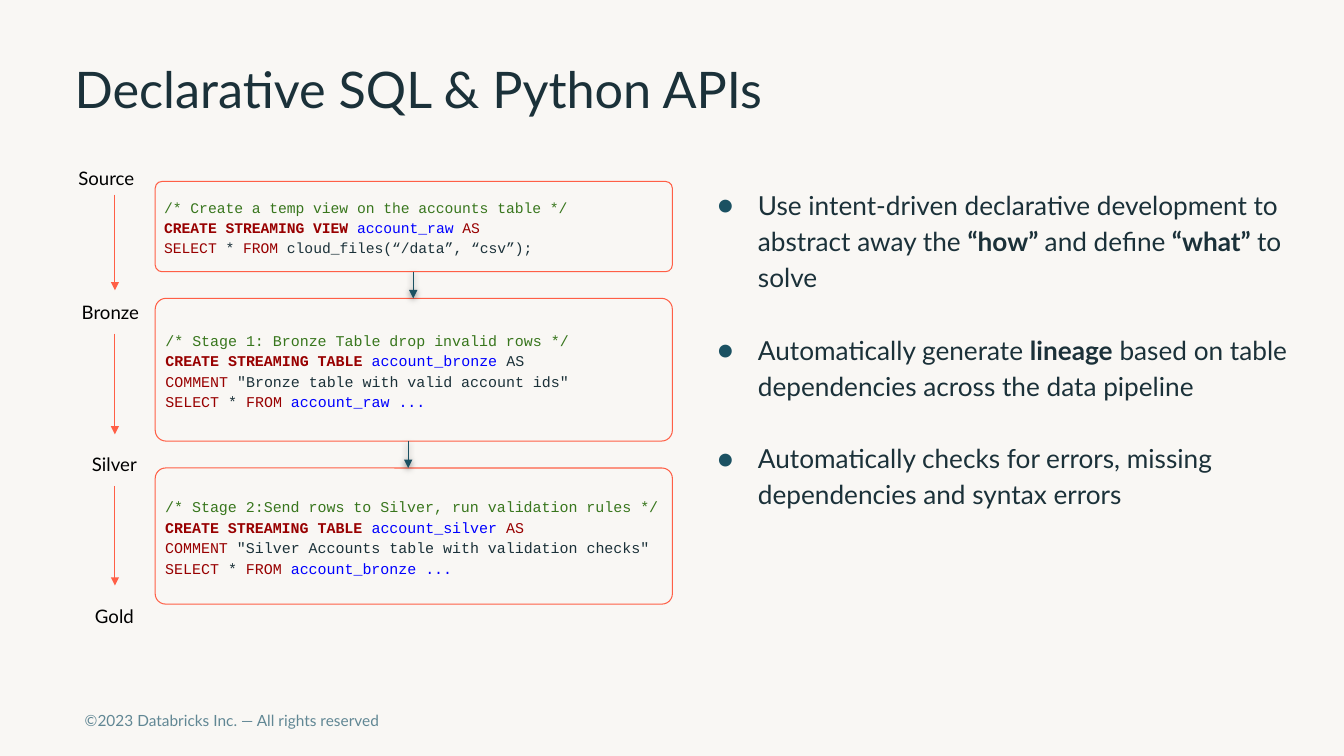
from lxml import etree
from pptx import Presentation
from pptx.dml.color import RGBColor as Rgb
from pptx.enum.shapes import MSO_CONNECTOR as Connector, MSO_SHAPE as Shape
from pptx.enum.text import MSO_ANCHOR as Anchor, PP_ALIGN as Align
from pptx.oxml.ns import qn
from pptx.util import Pt

COLORS = {
    "paper": "F9F7F4", "ink": "1B3139", "teal": "1B5162", "coral": "FF5F46",
    "muted": "618794", "label": "000000", "shadow": "000000",
    "comment": "38761D", "keyword": "980000", "name": "0000FF",
}

# Content
TITLE = "Declarative SQL & Python APIs"
FOOTER = "©2023 Databricks Inc. — All rights reserved"
BULLETS = [  # runs of (text, bold)
    [("Use intent-driven declarative development to abstract away the ", False),
     ("“how” ", True), ("and define", False), (" “what” ", True), ("to solve", False)],
    [("Automatically generate ", False), ("lineage", True),
     (" based on table dependencies across the data pipeline", False)],
    [("Automatically checks for errors, missing dependencies and syntax errors", False)],
]
CODE_BOXES = [  # top, height, text size, lines of (text, color, bold)
    (129.6, 64.5, 10.5, [
        [("/* Create a temp view on the accounts table */", "comment", False)],
        [("CREATE STREAMING VIEW ", "keyword", True), ("account_raw ", "name", False),
         ("AS", "keyword", False)],
        [("SELECT", "keyword", False), (" * ", "ink", False), ("FROM", "keyword", False),
         (" cloud_files(“/data”, “csv”);", "ink", False)],
    ]),
    (213.1, 102, 10.7, [
        [("/* Stage 1: Bronze Table drop invalid rows */", "comment", False)],
        [("CREATE STREAMING TABLE ", "keyword", True), ("account_bronze", "name", False),
         (" AS", "ink", False)],
        [("COMMENT", "keyword", False),
         (' "Bronze table with valid account ids"', "ink", False)],
        [("SELECT", "keyword", False), (" * ", "ink", False), ("FROM ", "keyword", False),
         ("account_raw ...", "name", False)],
    ]),
    (334.3, 97.2, 10.7, [
        [("/* Stage 2:Send rows to Silver, run validation rules */", "comment", False)],
        [("CREATE STREAMING TABLE ", "keyword", True), ("account_silver ", "name", False),
         ("AS", "keyword", False)],
        [("COMMENT", "keyword", False),
         (' "Silver Accounts table with validation checks"', "ink", False)],
        [("SELECT", "keyword", False), (" * ", "ink", False), ("FROM ", "keyword", False),
         ("account_bronze ...", "name", False)],
    ]),
]
FLOW_X = [295.2, 291.6]
STAGES = [("Source", 43.9, 112.3), ("Bronze", 46.8, 208.1),
          ("Silver", 49.7, 316.1), ("Gold", 49.7, 424.8)]
STAGE_X = 82.1
STAGE_ARROWS = [(139, 207.4), (238.3, 310.3), (347, 418.3)]
CODE_LEFT, CODE_WIDTH = 110.9, 369.4

deck = Presentation()
deck.slide_width, deck.slide_height = Pt(960), Pt(540)
page = deck.slides.add_slide(deck.slide_layouts[6])
page.background.fill.solid()
page.background.fill.fore_color.rgb = Rgb.from_string(COLORS["paper"])


def set_frame(box, inset_x, inset_y, anchor=Anchor.TOP):
    frame = box.text_frame
    frame.word_wrap = True
    frame.vertical_anchor = anchor
    frame.margin_left = frame.margin_right = Pt(inset_x)
    frame.margin_top = frame.margin_bottom = Pt(inset_y)
    return frame


def add_text_box(left, top, width, height, *frame_options):
    box = page.shapes.add_textbox(Pt(left), Pt(top), Pt(width), Pt(height))
    return set_frame(box, *frame_options)


def next_para(frame, index):
    return frame.add_paragraph() if index else frame.paragraphs[0]


def add_span(para, text, size, color, bold=False, font="Lato"):
    span = para.add_run()
    span.text = text
    span.font.name, span.font.size, span.font.bold = font, Pt(size), bold
    span.font.color.rgb = Rgb.from_string(COLORS[color])


def add_child(parent, tag, **attributes):
    return etree.SubElement(parent, qn(tag), attributes)


def add_down_arrow(x, top, bottom, color, shadow=False):
    arrow = page.shapes.add_connector(Connector.STRAIGHT, Pt(x), Pt(top), Pt(x), Pt(bottom))
    arrow.line.width = Pt(0.75)
    arrow.line.color.rgb = Rgb.from_string(COLORS[color])
    add_child(arrow.line._get_or_add_ln(), "a:tailEnd", type="triangle")
    effects = add_child(arrow._element.spPr, "a:effectLst")
    if shadow:
        outer = add_child(effects, "a:outerShdw", blurRad=str(Pt(4.5)), dist=str(Pt(1.5)),
                          dir="5400000", algn="bl", rotWithShape="0")
        shade = add_child(outer, "a:srgbClr", val=COLORS["shadow"])
        add_child(shade, "a:alpha", val="50000")


# Footer and title
add_span(add_text_box(51.1, 501.1, 423.4, 32.4, 9.4, 9.4).paragraphs[0], FOOTER, 11, "muted")
heading = add_text_box(53.3, 42.5, 839.5, 46.1, 0, 0, Anchor.MIDDLE).paragraphs[0]
heading.line_spacing = 0.9
add_span(heading, TITLE, 36, "ink")

# Bullet list
body = add_text_box(505.4, 128.2, 425.5, 306.7, 0, 3.6)
for index, runs in enumerate(BULLETS):
    para = next_para(body, index)
    properties = para._p.get_or_add_pPr()
    properties.set("marL", str(Pt(36)))
    properties.set("indent", str(Pt(-28.8)))
    add_child(add_child(properties, "a:buClr"), "a:srgbClr", val=COLORS["teal"])
    add_child(properties, "a:buFont", typeface="Lato")
    add_child(properties, "a:buChar", char="●")
    para.line_spacing = 1.15
    if index:
        para.space_before = Pt(26)
    for text, bold in runs:
        add_span(para, text, 18.7, "ink", bold)

# Code boxes
for top, height, size, lines in CODE_BOXES:
    box = page.shapes.add_shape(Shape.ROUNDED_RECTANGLE, Pt(CODE_LEFT), Pt(top),
                                Pt(CODE_WIDTH), Pt(height))
    box.adjustments[0] = 0.076
    box.shadow.inherit = False
    box.fill.solid()
    box.fill.fore_color.rgb = Rgb.from_string(COLORS["paper"])
    box.line.color.rgb = Rgb.from_string(COLORS["coral"])
    box.line.width = Pt(0.75)
    frame = set_frame(box, 5, 2.9, Anchor.MIDDLE)
    for index, runs in enumerate(lines):
        para = next_para(frame, index)
        para.alignment = Align.LEFT
        para.line_spacing = 1.15
        for text, color, bold in runs:
            add_span(para, text, size, color, bold, "Courier New")

# Arrows from each code box to the next
for x, upper, lower in zip(FLOW_X, CODE_BOXES, CODE_BOXES[1:]):
    add_down_arrow(x, upper[0] + upper[1], lower[0], "teal", shadow=True)

# Stage labels and arrows
for top, bottom in STAGE_ARROWS:
    add_down_arrow(STAGE_X, top, bottom, "coral")
for label, left, top in STAGES:
    para = add_text_box(left, top, 64.1, 31, 7.2, 7.2).paragraphs[0]
    para.alignment = Align.CENTER
    add_span(para, label, 13.3, "label")

deck.save("out.pptx")
